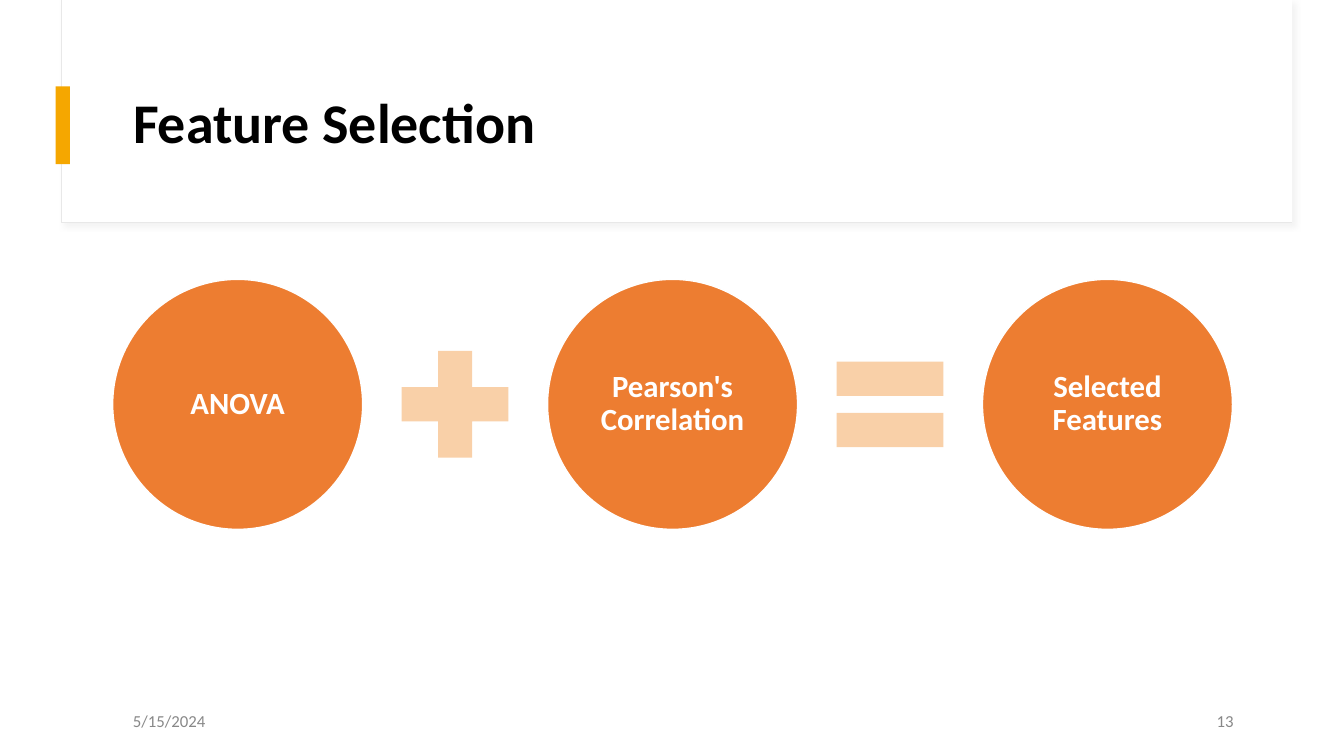
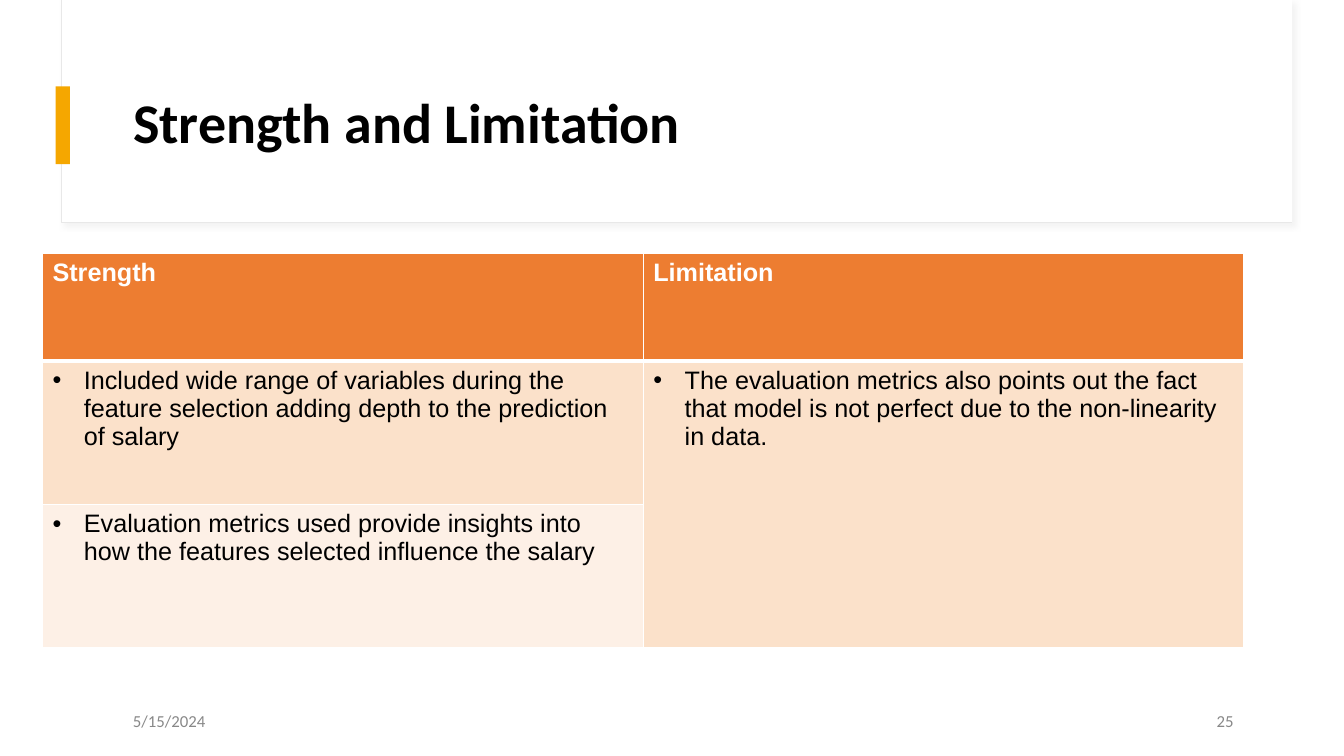
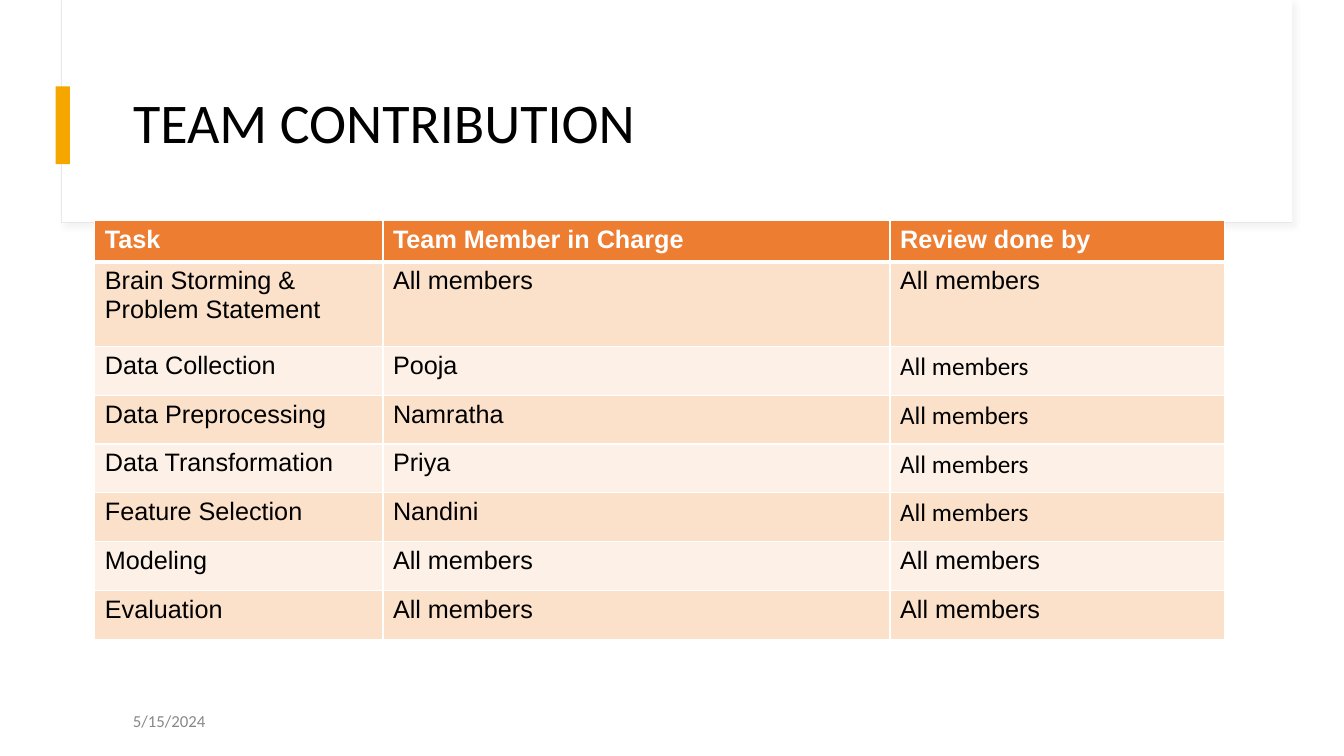
from dataclasses import dataclass

from lxml.etree import SubElement
from pptx import Presentation
from pptx.dml.color import RGBColor
from pptx.enum.shapes import MSO_SHAPE
from pptx.enum.text import MSO_ANCHOR, MSO_AUTO_SIZE, PP_ALIGN
from pptx.oxml import parse_xml
from pptx.oxml.ns import nsdecls, qn
from pptx.util import Cm, Pt


@dataclass(frozen=True)
class Theme:
    white: str = "FFFFFF"
    black: str = "000000"
    grey: str = "888888"
    edge: str = "E8E8E8"
    shade: str = "D8D8D8"
    amber: str = "F5A700"
    orange: str = "ED7D31"
    peach: str = "F9D0A8"
    row_dark: str = "FBE1CA"
    row_light: str = "FDF0E6"
    heading_font: str = "Calibri"
    table_font: str = "Arial"
    title_size: int = 40
    circle_size: int = 22
    table_size: int = 18
    footer_size: int = 12


theme = Theme()


def write(frame, text, size, font=theme.heading_font, color=theme.black, bold=False,
          align=PP_ALIGN.LEFT, spacing=1.0, anchor=MSO_ANCHOR.MIDDLE, bullet=False):
    frame.word_wrap = True
    frame.vertical_anchor = anchor
    para = frame.paragraphs[0]
    para.alignment = align
    para.line_spacing = spacing
    span = para.add_run()
    span.text = text
    span.font.name = font
    span.font.size = Pt(size)
    span.font.bold = bold
    span.font.color.rgb = RGBColor.from_string(color)
    if bullet:
        properties = para._p.get_or_add_pPr()
        properties.set("marL", str(Cm(0.79)))
        properties.set("indent", str(-Cm(0.79)))
        SubElement(properties, qn("a:buFont")).set("typeface", theme.table_font)
        SubElement(properties, qn("a:buChar")).set("char", "•")


def fill_table(table, rows, bullets=False, heading_font_cells=()):
    """Write the rows into the table; listed (row, column) cells use the heading font."""
    for row, texts in enumerate(rows):
        for column, text in enumerate(texts):
            cell = table.cell(row, column)
            if cell.is_spanned:
                continue
            properties = cell._tc.get_or_add_tcPr()
            for side in ("L", "R", "T", "B"):
                under_header = (row, side) in ((0, "B"), (1, "T"))
                properties.append(parse_xml(
                    f'<a:ln{side} {nsdecls("a")} w="{Pt(3 if under_header else 1)}"><a:solidFill>'
                    f'<a:srgbClr val="{theme.white}"/></a:solidFill></a:ln{side}>'))
            header = row == 0
            band = theme.orange if header else (theme.row_light, theme.row_dark)[row % 2]
            cell.fill.solid()
            cell.fill.fore_color.rgb = RGBColor.from_string(band)
            font = theme.heading_font if (row, column) in heading_font_cells else theme.table_font
            write(cell.text_frame, text, theme.table_size, font=font, bold=header,
                  color=theme.white if header else theme.black,
                  anchor=MSO_ANCHOR.TOP, bullet=bullets and not header)


deck = Presentation()
deck.slide_width, deck.slide_height = Cm(33.87), Cm(19.05)
layout = deck.slide_layouts.get_by_name("Title Only")

# Titles and footers
pages = []
for title, bold, number in (("Feature Selection", True, "13"),
                            ("Strength and Limitation", True, "25"),
                            ("TEAM CONTRIBUTION", False, None)):
    page = deck.slides.add_slide(layout)
    pages.append(page)
    box = page.shapes.title
    box.left, box.top, box.width, box.height = Cm(3.1), Cm(1.52), Cm(28.24), Cm(3.28)
    box.text_frame.auto_size = MSO_AUTO_SIZE.NONE
    write(box.text_frame, title, theme.title_size, bold=bold, spacing=0.9)
    for text, left, align in (("5/15/2024", 3.1, PP_ALIGN.LEFT), (number, 23.72, PP_ALIGN.RIGHT)):
        if text:
            box = page.shapes.add_textbox(Cm(left), Cm(17.65), Cm(7.62), Cm(1.02))
            write(box.text_frame, text, theme.footer_size, color=theme.grey, align=align)

selection_page, strength_page, team_page = pages

# Title band, drawn once and moved to the shared layout behind its placeholders
for position, (left, top, width, height, color, edge) in enumerate((
        (1.55, 0, 31.01, 5.61, theme.white, theme.edge),
        (1.57, 0, 30.99, 5.59, theme.white, None),
        (1.4, 2.18, 0.36, 1.96, theme.amber, None))):
    band = selection_page.shapes.add_shape(
        MSO_SHAPE.RECTANGLE, Cm(left), Cm(top), Cm(width), Cm(height))
    band.shadow.inherit = False
    band.fill.solid()
    band.fill.fore_color.rgb = RGBColor.from_string(color)
    if edge:
        band.line.color.rgb = RGBColor.from_string(edge)
        band.line.width = Pt(0.75)
        effects = band._element.spPr.find(qn("a:effectLst"))
        effects.append(parse_xml(
            f'<a:outerShdw {nsdecls("a")} blurRad="{Pt(4)}" dist="{Pt(3)}" dir="2700000" '
            f'algn="tl" rotWithShape="0"><a:srgbClr val="{theme.shade}">'
            '<a:alpha val="30000"/></a:srgbClr></a:outerShdw>'))
    else:
        band.line.fill.background()
    layout.shapes._spTree.insert(2 + position, band._element)

# Feature selection equation
circle_left, circle_top, circle_size, circle_pitch = 2.84, 7.04, 6.3, 10.96
operator_size = 3.66
for index, label in enumerate(("ANOVA", "Pearson's Correlation", "Selected Features")):
    circle = selection_page.shapes.add_shape(
        MSO_SHAPE.OVAL, Cm(circle_left + index * circle_pitch), Cm(circle_top),
        Cm(circle_size), Cm(circle_size))
    circle.shadow.inherit = False
    circle.fill.solid()
    circle.fill.fore_color.rgb = RGBColor.from_string(theme.orange)
    circle.line.color.rgb = RGBColor.from_string(theme.white)
    circle.line.width = Pt(1)
    frame = circle.text_frame
    frame.margin_left = frame.margin_right = frame.margin_top = frame.margin_bottom = Cm(0.08)
    write(frame, label, theme.circle_size, color=theme.white, bold=True,
          align=PP_ALIGN.CENTER, spacing=0.9)

for index, (kind, adjustments) in enumerate(((MSO_SHAPE.MATH_PLUS, (0.235,)),
                                             (MSO_SHAPE.MATH_EQUAL, (0.235, 0.118)))):
    center = circle_left + circle_size / 2 + (index + 0.5) * circle_pitch
    operator = selection_page.shapes.add_shape(
        kind, Cm(center - operator_size / 2), Cm(circle_top + (circle_size - operator_size) / 2),
        Cm(operator_size), Cm(operator_size))
    operator.shadow.inherit = False
    operator.fill.solid()
    operator.fill.fore_color.rgb = RGBColor.from_string(theme.peach)
    operator.line.fill.background()
    for position, value in enumerate(adjustments):
        operator.adjustments[position] = value

# Strength and limitation table
strength_rows = (
    ("Strength", "Limitation"),
    ("Included wide range of variables during the feature selection adding depth "
     "to the prediction of salary",
     "The evaluation metrics also points out the fact that model is not perfect "
     "due to the non-linearity in data."),
    ("Evaluation metrics used provide insights into how the features selected "
     "influence the salary", ""),
)
strength_table = strength_page.shapes.add_table(
    3, 2, Cm(1.07), Cm(6.38), Cm(30.28), Cm(9.94)).table
for row, height in zip(strength_table.rows, (2.72, 3.61, 3.61)):
    row.height = Cm(height)
strength_table.cell(1, 1).merge(strength_table.cell(2, 1))
fill_table(strength_table, strength_rows, bullets=True)

# Team contribution table
everyone = "All members"
team_rows = (
    ("Task", "Team Member in Charge", "Review done by"),
    ("Brain Storming & Problem Statement", everyone, everyone),
    ("Data Collection", "Pooja", everyone),
    ("Data Preprocessing", "Namratha", everyone),
    ("Data Transformation", "Priya", everyone),
    ("Feature Selection", "Nandini", everyone),
    ("Modeling", everyone, everyone),
    ("Evaluation", everyone, everyone),
)
team_table = team_page.shapes.add_table(
    len(team_rows), 3, Cm(2.39), Cm(5.56), Cm(28.47), Cm(10.5)).table
for column, width in zip(team_table.columns, (7.26, 12.78, 8.43)):
    column.width = Cm(width)
for row, height in zip(team_table.rows, (1.04, 2.13) + (1.23,) * 6):
    row.height = Cm(height)
fill_table(team_table, team_rows, heading_font_cells=[(row, 2) for row in range(2, 6)])

deck.save("out.pptx")
